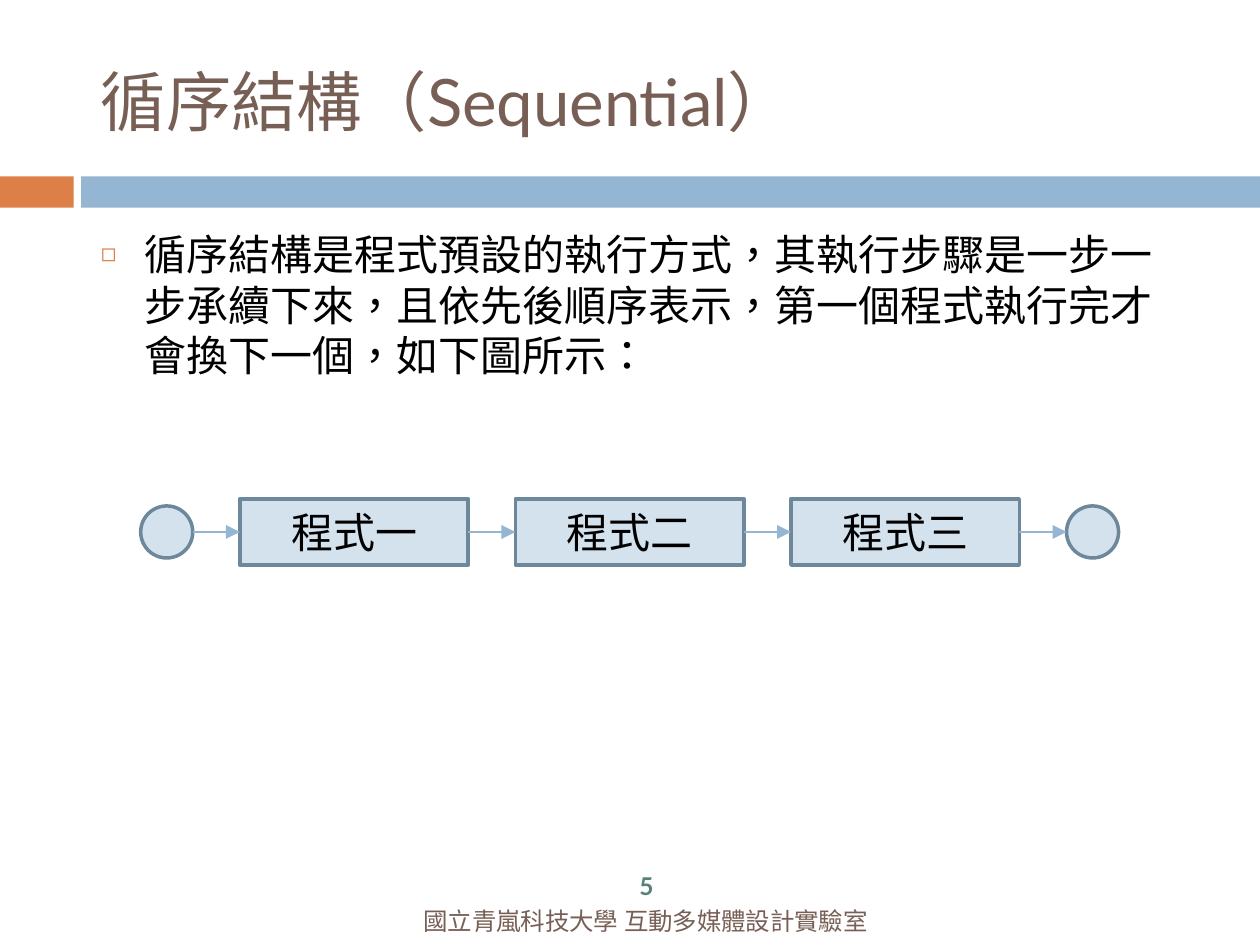
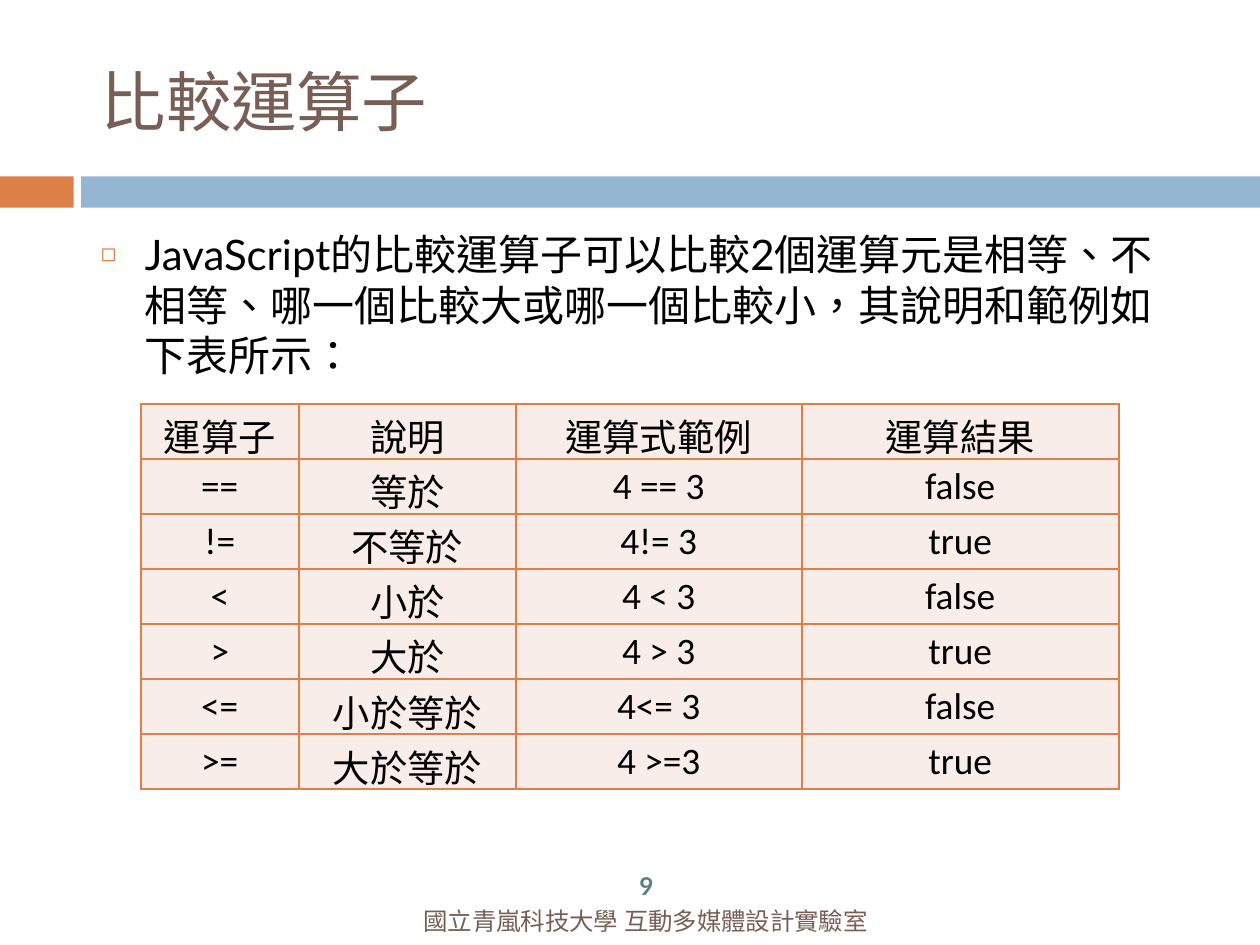
"""Builds two slides on program flow and comparison operators."""
from dataclasses import dataclass
from itertools import pairwise

import lxml.etree
import pptx
import pptx.dml.color
import pptx.enum.shapes
import pptx.enum.text
import pptx.oxml.ns
import pptx.util

Pt = pptx.util.Pt
qn = pptx.oxml.ns.qn
Preset = pptx.enum.shapes.MSO_SHAPE
Align = pptx.enum.text.PP_ALIGN
Anchor = pptx.enum.text.MSO_ANCHOR

COLOURS = {
    "title": "775F55", "text": "000000", "number": "578279",
    "orange": "DD8047", "blue": "94B6D2", "step": "D4E2ED",
    "outline": "6D879B", "cell": "F9EDE9",
}
LATO = "Lato"
CJK = "Noto Sans CJK SC"
LAB = "國立青嵐科技大學 互動多媒體設計實驗室"


@dataclass(frozen=True)
class Box:
    left: float
    top: float
    width: float
    height: float

    def lengths(self) -> tuple:
        return tuple(Pt(v) for v in (self.left, self.top, self.width, self.height))


@dataclass(frozen=True)
class Style:
    size: float
    colour: str
    latin: str = LATO
    asian: str = LATO
    bold: bool = False
    align: Align = Align.CENTER


@dataclass(frozen=True)
class Band:
    box: Box
    colour: str


@dataclass(frozen=True)
class Step:
    label: str
    preset: Preset
    width: float
    height: float


@dataclass(frozen=True)
class Topic:
    title: str
    title_font: str
    explanation: str
    explanation_font: str
    number: str


BANDS = (
    Band(Box(0, 75.6, 31.6, 13.5), "orange"),
    Band(Box(34.8, 75.6, 505.2, 13.5), "blue"),
)
TITLE_BOX = Box(36, 13.7, 481.7, 58.3)
BODY_BOX = Box(36, 94.5, 481.7, 265.5)
LAB_BOX = Box(116.6, 387.2, 320.4, 14.5)
NUMBER_BOX = Box(261.2, 372.3, 31.6, 14.5)

SEQUENTIAL = Topic(
    "循序結構（Sequential）", LATO,
    "循序結構是程式預設的執行方式，其執行步驟是一步一步承續下來，"
    "且依先後順序表示，第一個程式執行完才會換下一個，如下圖所示：", CJK, "5",
)
COMPARISON = Topic(
    "比較運算子", CJK,
    "JavaScript的比較運算子可以比較2個運算元是相等、不相等、"
    "哪一個比較大或哪一個比較小，其說明和範例如下表所示：", LATO, "9",
)

TERMINAL = Step("", Preset.OVAL, 22.3, 22.3)
STEPS = (
    TERMINAL,
    *(Step(label, Preset.RECTANGLE, 97.9, 28.4) for label in ("程式一", "程式二", "程式三")),
    TERMINAL,
)
FLOW_LEFT, FLOW_MIDDLE, FLOW_GAP = 60.3, 228, 20.2
LEFT_RIGHT_SITES = {Preset.RECTANGLE: (1, 3), Preset.OVAL: (2, 6)}

OPERATORS = (
    ("運算子", "說明", "運算式範例", "運算結果"),
    ("==", "等於", "4 == 3", "false"),
    ("!=", "不等於", "4!= 3", "true"),
    ("<", "小於", "4 < 3", "false"),
    (">", "大於", "4 > 3", "true"),
    ("<=", "小於等於", "4<= 3", "false"),
    (">=", "大於等於", "4 >=3", "true"),
)
COLUMN_WIDTHS = (67.8, 93, 122.5, 136)
ROW_HEIGHT = 22.3


def rgb(name: str) -> pptx.dml.color.RGBColor:
    return pptx.dml.color.RGBColor.from_string(COLOURS[name])


def child(parent, tag: str, **attributes: str):
    return lxml.etree.SubElement(parent, qn(tag), **attributes)


def write(frame, text: str, style: Style) -> None:
    frame.text = text
    frame.word_wrap = True
    paragraph = frame.paragraphs[0]
    paragraph.alignment = style.align
    for run in paragraph.runs:
        run.font.size = Pt(style.size)
        run.font.bold = style.bold
        run.font.name = style.latin
        run.font.color.rgb = rgb(style.colour)
        properties = run._r.get_or_add_rPr()
        properties.set("lang", "zh-TW")
        asian = lxml.etree.Element(qn("a:ea"), typeface=style.asian)
        properties.find(qn("a:latin")).addnext(asian)


def place(shape, box: Box) -> None:
    shape.left, shape.top, shape.width, shape.height = box.lengths()


def add_block(slide, preset: Preset, box: Box, fill: str, outline: str = ""):
    block = slide.shapes.add_shape(preset, *box.lengths())
    block.shadow.inherit = False
    block.fill.solid()
    block.fill.fore_color.rgb = rgb(fill)
    if outline:
        block.line.color.rgb = rgb(outline)
        block.line.width = Pt(1.5)
    else:
        block.line.fill.background()
    return block


def move_bands_to_layout(slide) -> None:
    for identifier, band in enumerate(BANDS, start=20):
        block = add_block(slide, Preset.RECTANGLE, band.box, band.colour)
        block.element.nvSpPr.cNvPr.set("id", str(identifier))
        slide.slide_layout.shapes.element.append(block.element)


def add_footer(slide, box: Box, text: str, style: Style) -> None:
    frame = slide.shapes.add_textbox(*box.lengths()).text_frame
    frame.margin_top = frame.margin_bottom = 0
    frame.vertical_anchor = Anchor.MIDDLE
    write(frame, text, style)


def add_bullet(paragraph) -> None:
    paragraph.space_before = Pt(5.2)
    properties = paragraph._p.get_or_add_pPr()
    properties.set("marL", str(Pt(18.9)))
    properties.set("indent", str(-Pt(18.9)))
    colour = child(properties, "a:buClr")
    child(colour, "a:srgbClr", val=COLOURS["orange"])
    child(properties, "a:buSzPct", val="60000")
    child(properties, "a:buChar", char="◻")


def add_topic(deck, topic: Topic):
    slide = deck.slides.add_slide(deck.slide_layouts[1])
    title, explanation = slide.placeholders
    place(title, TITLE_BOX)
    place(explanation, BODY_BOX)
    for holder, anchor in ((title, Anchor.MIDDLE), (explanation, Anchor.TOP)):
        holder.text_frame.auto_size = pptx.enum.text.MSO_AUTO_SIZE.NONE
        holder.text_frame.vertical_anchor = anchor
    write(title.text_frame, topic.title,
          Style(28, "title", topic.title_font, align=Align.LEFT))
    write(explanation.text_frame, topic.explanation,
          Style(18, "text", topic.explanation_font, align=Align.LEFT))
    add_bullet(explanation.text_frame.paragraphs[0])
    add_footer(slide, LAB_BOX, LAB, Style(10.5, "title"))
    add_footer(slide, NUMBER_BOX, topic.number, Style(10.5, "number", bold=True))
    return slide


def add_arrow(slide, source, target) -> None:
    arrow = slide.shapes.add_connector(
        pptx.enum.shapes.MSO_CONNECTOR.STRAIGHT,
        source.left + source.width, Pt(FLOW_MIDDLE), target.left, Pt(FLOW_MIDDLE),
    )
    arrow.line.color.rgb = rgb("blue")
    arrow.line.width = Pt(0.79)
    properties = arrow.element.spPr
    child(properties.find(qn("a:ln")), "a:tailEnd", type="triangle")
    child(properties, "a:effectLst")
    links = arrow.element.nvCxnSpPr.cNvCxnSpPr
    start, end = links.get_or_add_stCxn(), links.get_or_add_endCxn()
    start.id, start.idx = source.shape_id, LEFT_RIGHT_SITES[source.auto_shape_type][1]
    end.id, end.idx = target.shape_id, LEFT_RIGHT_SITES[target.auto_shape_type][0]


def add_flow(slide) -> None:
    blocks = []
    left = FLOW_LEFT
    for step in STEPS:
        box = Box(left, FLOW_MIDDLE - step.height / 2, step.width, step.height)
        block = add_block(slide, step.preset, box, "step", "outline")
        if step.label:
            block.text_frame.vertical_anchor = Anchor.MIDDLE
            write(block.text_frame, step.label, Style(18, "text"))
        blocks.append(block)
        left += step.width + FLOW_GAP
    for source, target in pairwise(blocks):
        add_arrow(slide, source, target)


def format_cell(cell, text: str) -> None:
    cell.margin_left = cell.margin_right = Pt(5)
    cell.margin_top = cell.margin_bottom = Pt(2.2)
    write(cell.text_frame, text, Style(16, "text", "Calibri", CJK))
    properties = cell._tc.get_or_add_tcPr()
    for side in ("a:lnL", "a:lnR", "a:lnT", "a:lnB"):
        border = child(properties, side, w=str(Pt(1)))
        child(child(border, "a:solidFill"), "a:srgbClr", val=COLOURS["orange"])
    cell.fill.solid()
    cell.fill.fore_color.rgb = rgb("cell")


def add_operators(slide) -> None:
    box = Box(60.3, 173, sum(COLUMN_WIDTHS), ROW_HEIGHT * len(OPERATORS))
    operators = slide.shapes.add_table(
        len(OPERATORS), len(COLUMN_WIDTHS), *box.lengths()).table
    operators.first_row = operators.horz_banding = False
    for column, width in zip(operators.columns, COLUMN_WIDTHS):
        column.width = Pt(width)
    for row, texts in zip(operators.rows, OPERATORS):
        row.height = Pt(ROW_HEIGHT)
        for cell, text in zip(row.cells, texts):
            format_cell(cell, text)


def main() -> None:
    deck = pptx.Presentation()
    deck.slide_width, deck.slide_height = Pt(540), Pt(405)
    sequential = add_topic(deck, SEQUENTIAL)
    move_bands_to_layout(sequential)
    add_flow(sequential)
    add_operators(add_topic(deck, COMPARISON))
    deck.save("out.pptx")


main()
